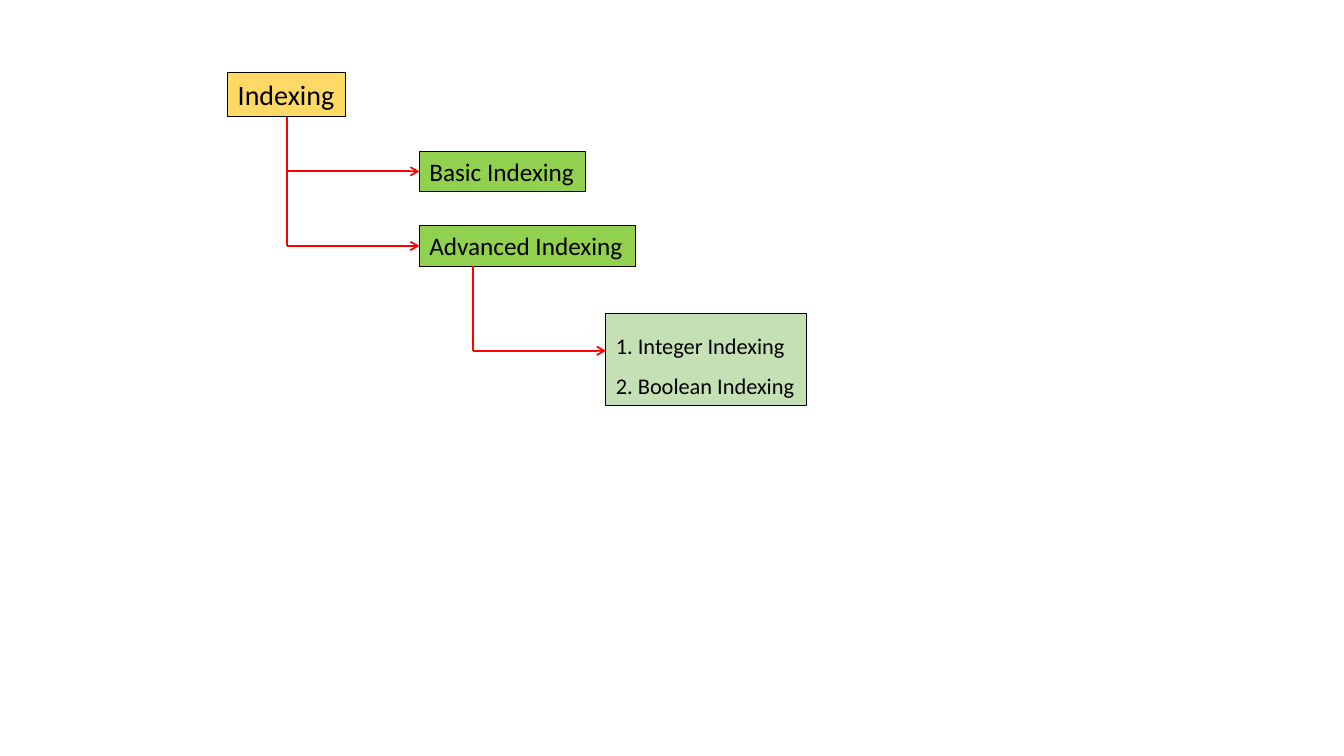
from dataclasses import dataclass

from lxml.etree import SubElement
from pptx import Presentation
from pptx.dml.color import RGBColor
from pptx.enum.shapes import MSO_CONNECTOR, MSO_SHAPE
from pptx.enum.text import MSO_ANCHOR, MSO_AUTO_SIZE, PP_ALIGN
from pptx.oxml.ns import qn
from pptx.util import Inches, Pt

BOTTOM_SIDE, LEFT_SIDE = 0 + 2, 1


@dataclass(frozen=True)
class Theme:
    font: str = "Calibri"
    ink: str = "000000"
    root_fill: str = "FFD966"
    branch_fill: str = "92D050"
    leaf_fill: str = "C5E0B4"
    arrow: str = "FF0000"
    root_size: int = 20
    branch_size: int = 18
    leaf_size: int = 16
    border: float = 0.75
    arrow_width: float = 1.25


THEME = Theme()


def write_text(box, text, size, line_spacing=1.0):
    frame = box.text_frame
    frame.word_wrap = False
    frame.auto_size = MSO_AUTO_SIZE.SHAPE_TO_FIT_TEXT
    frame.vertical_anchor = MSO_ANCHOR.TOP
    frame.text = text
    for para in frame.paragraphs:
        para.alignment = PP_ALIGN.LEFT
        para.line_spacing = line_spacing
        para.font.name = THEME.font
        para.font.size = Pt(size)
        para.font.color.rgb = RGBColor.from_string(THEME.ink)


def add_node(page, text, left, top, width, height, fill, size, line_spacing=1.0):
    box = page.shapes.add_shape(
        MSO_SHAPE.RECTANGLE, Inches(left), Inches(top), Inches(width), Inches(height)
    )
    box.shadow.inherit = False
    box.fill.solid()
    box.fill.fore_color.rgb = RGBColor.from_string(fill)
    box.line.color.rgb = RGBColor.from_string(THEME.ink)
    box.line.width = Pt(THEME.border)
    write_text(box, text, size, line_spacing)
    return box


def add_line(page, start, end, arrow=False):
    line = page.shapes.add_connector(MSO_CONNECTOR.STRAIGHT, *start, *end)
    line.line.color.rgb = RGBColor.from_string(THEME.arrow)
    line.line.width = Pt(THEME.arrow_width)
    if arrow:
        SubElement(line.line._get_or_add_ln(), qn("a:tailEnd"), type="arrow")
    SubElement(line._element.spPr, qn("a:effectLst"))
    return line


def add_indexing_branches(page, left, top):
    """Draw the root with its two kinds of indexing and return the lower one."""
    root = add_node(page, "Indexing", left, top, 1.17, 0.44,
                    THEME.root_fill, THEME.root_size)
    branches = [
        add_node(page, text, left + 1.9, top + 0.78 + row * 0.74, width, 0.4,
                 THEME.branch_fill, THEME.branch_size)
        for row, (text, width) in enumerate(
            [("Basic Indexing", 1.65), ("Advanced Indexing", 2.14)])
    ]
    stem_x = root.left + root.width // 2
    middles = [branch.top + branch.height // 2 for branch in branches]
    stem = add_line(page, (stem_x, root.top + root.height), (stem_x, middles[-1]))
    stem.begin_connect(root, BOTTOM_SIDE)
    for branch, middle in zip(branches, middles):
        arrow = add_line(page, (stem_x, middle), (branch.left, middle), arrow=True)
        arrow.end_connect(branch, LEFT_SIDE)
    return branches[-1]


def add_advanced_kinds(page, parent, left, top):
    """List the kinds of advanced indexing and lead an elbow to them."""
    kinds = add_node(page, "1. Integer Indexing\n2. Boolean Indexing", left, top,
                     1.99, 0.91, THEME.leaf_fill, THEME.leaf_size, line_spacing=1.5)
    stem_x = parent.left + Inches(0.53)
    corner = (stem_x, kinds.top + Inches(0.37))
    add_line(page, (stem_x, parent.top + parent.height), corner)
    add_line(page, corner, (kinds.left, corner[1]), arrow=True)


def main():
    deck = Presentation()
    deck.slide_width, deck.slide_height = Inches(13.33), Inches(7.5)
    page = deck.slides.add_slide(deck.slide_layouts.get_by_name("Blank"))
    advanced = add_indexing_branches(page, left=2.26, top=0.72)
    add_advanced_kinds(page, advanced, left=6.01, top=3.11)
    deck.save("out.pptx")


if __name__ == "__main__":
    main()
